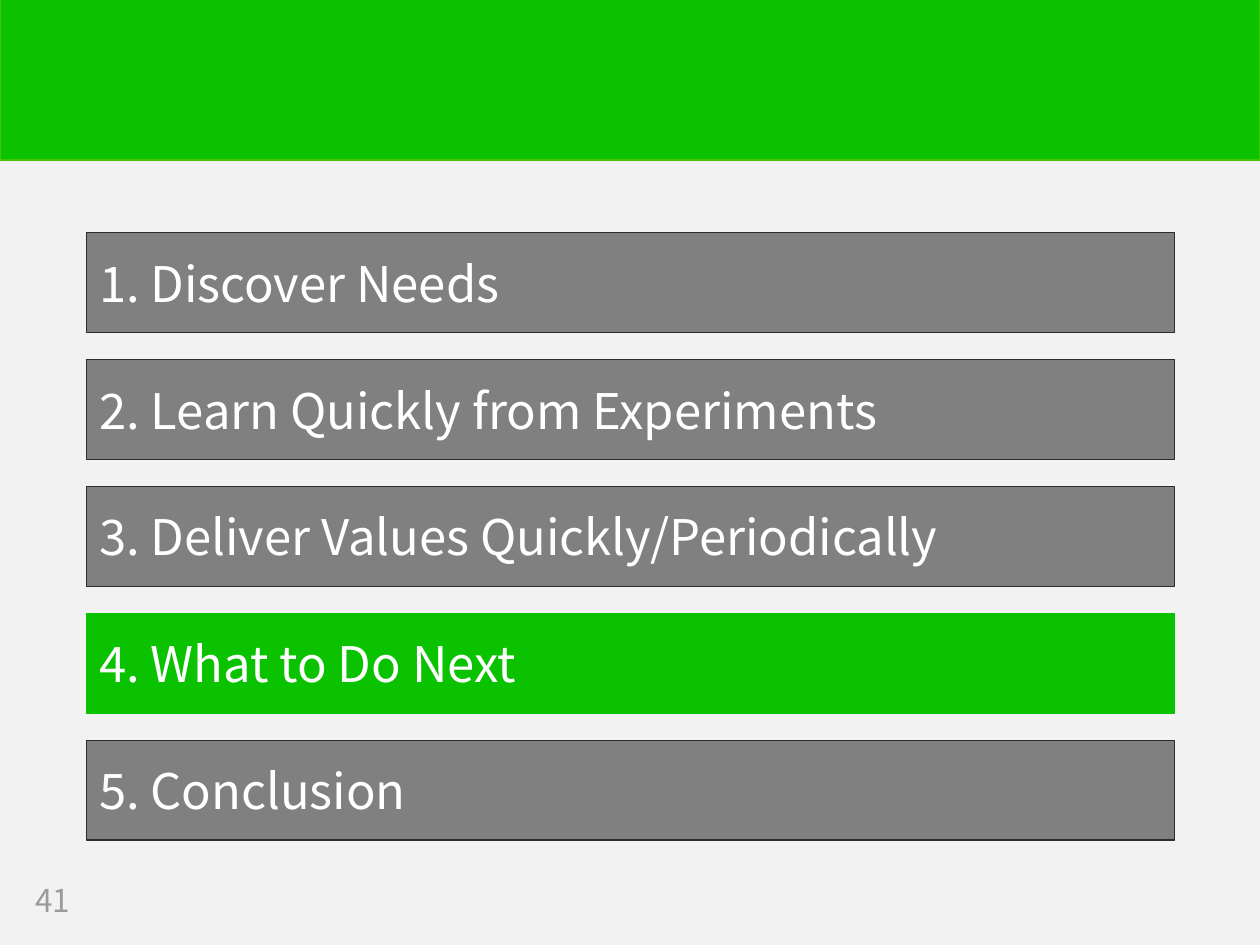
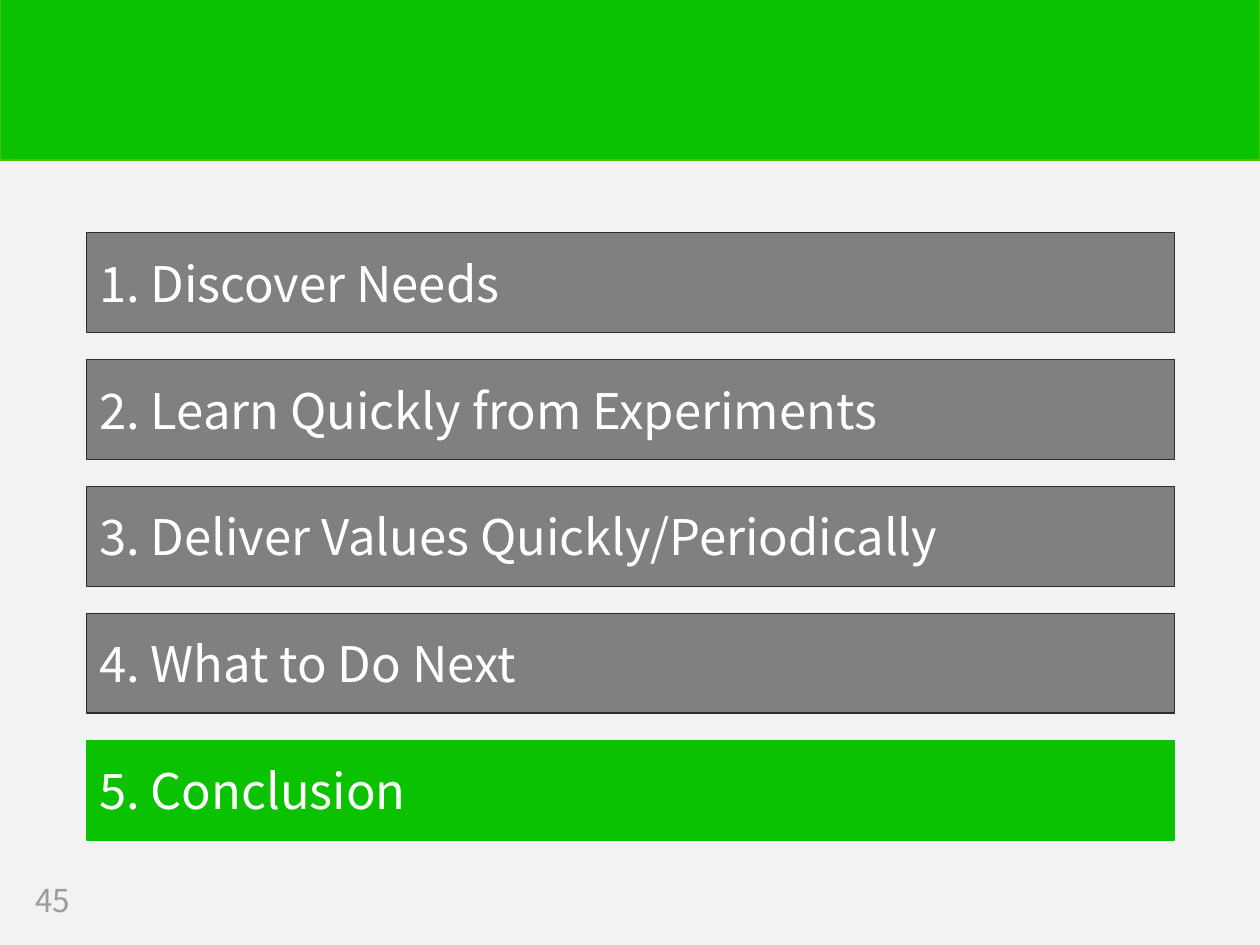
from dataclasses import dataclass

from pptx import Presentation
from pptx.dml.color import RGBColor as Color
from pptx.enum.shapes import MSO_SHAPE as Shape
from pptx.enum.text import MSO_ANCHOR as Anchor, PP_ALIGN as Align
from pptx.util import Pt


@dataclass(frozen=True)
class Theme:
    font: str = "Noto Sans CJK JP"
    background: str = "F2F2F2"
    accent: str = "0AC200"
    band_line: str = "44C404"
    idle: str = "808080"
    idle_line: str = "2C2C2C"
    box_text: str = "FFFFFF"
    page_text: str = "9B9B9B"
    box_size: int = 28
    page_size: int = 18


THEME = Theme()

SECTIONS = [
    "Discover Needs",
    "Learn Quickly from Experiments",
    "Deliver Values Quickly/Periodically",
    "What to Do Next",
    "Conclusion",
]

# Page number and the section highlighted on it
AGENDA_PAGES = [(41, 4), (45, 5)]

# Agenda box grid, in points
BOX_LEFT, BOX_TOP = 49.5, 133
BOX_WIDTH, BOX_HEIGHT = 621.5, 57
BOX_PITCH = 72.5


def set_format(target, values):
    for name, value in values.items():
        setattr(target, name, value)


def write_text(shape, text, size, color):
    """Left-aligned, vertically centred single line."""
    frame = shape.text_frame
    set_format(frame, {"word_wrap": True, "vertical_anchor": Anchor.MIDDLE})
    para = frame.paragraphs[0]
    para.alignment = Align.LEFT
    span = para.add_run()
    span.text = text
    set_format(span.font, {"name": THEME.font, "size": Pt(size)})
    span.font.color.rgb = Color.from_string(color)


def add_box(page, left, top, width, height, fill, line, line_width):
    box = page.shapes.add_shape(
        Shape.RECTANGLE, Pt(left), Pt(top), Pt(width), Pt(height))
    box.shadow.inherit = False
    box.fill.solid()
    box.fill.fore_color.rgb = Color.from_string(fill)
    box.line.color.rgb = Color.from_string(line)
    box.line.width = Pt(line_width)
    return box


def add_page_number(page, number):
    box = page.shapes.add_textbox(Pt(13), Pt(500.5), Pt(57), Pt(28))
    write_text(box, str(number), THEME.page_size, THEME.page_text)


def add_agenda(page, current):
    for number, section in enumerate(SECTIONS, start=1):
        if number == current:
            fill, line = THEME.accent, THEME.accent
        else:
            fill, line = THEME.idle, THEME.idle_line
        top = BOX_TOP + (number - 1) * BOX_PITCH
        box = add_box(page, BOX_LEFT, top, BOX_WIDTH, BOX_HEIGHT, fill, line, 0.75)
        write_text(box, f"{number}. {section}", THEME.box_size, THEME.box_text)


def add_agenda_page(deck, number, current):
    page = deck.slides.add_slide(deck.slide_layouts[6])
    # Header band
    add_box(page, 0, -0.7, 720, 92, THEME.accent, THEME.band_line, 1)
    add_page_number(page, number)
    add_agenda(page, current)


def main():
    deck = Presentation()
    set_format(deck, {"slide_width": Pt(720), "slide_height": Pt(540)})

    # Background shared by every page
    background = deck.slide_master.background.fill
    background.solid()
    background.fore_color.rgb = Color.from_string(THEME.background)

    for number, current in AGENDA_PAGES:
        add_agenda_page(deck, number, current)
    deck.save("out.pptx")


if __name__ == "__main__":
    main()
